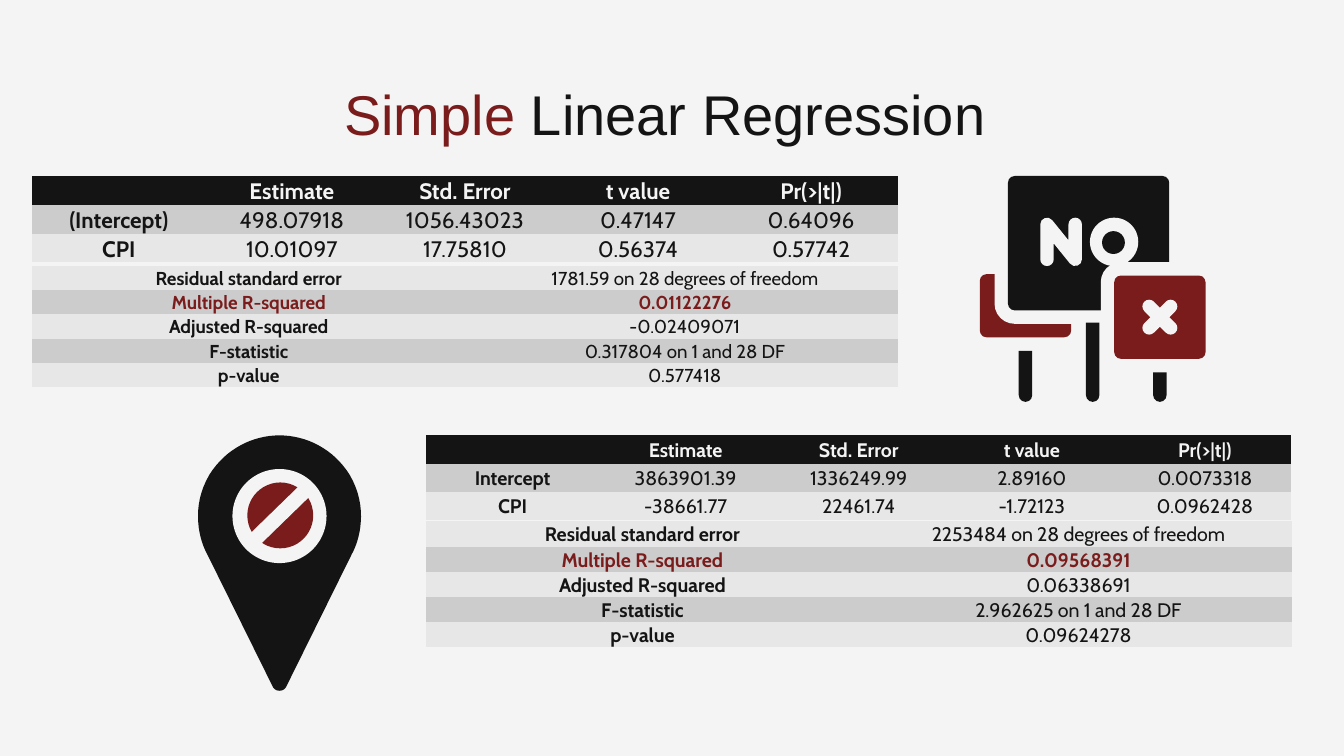
import pptx
import pptx.dml.color
import pptx.enum.shapes
import pptx.enum.text
import pptx.oxml.ns
import pptx.oxml.xmlchemy
import pptx.util
from pptx.util import Inches

SHAPE = pptx.enum.shapes.MSO_SHAPE
COLORS = {"bg": "F4F4F4", "ink": "141414", "red": "7A1C1C",
          "dark": "CCCCCC", "light": "E7E7E7"}
HEADER = ["", "Estimate", "Std. Error", "t value", "Pr(>|t|)"]
LABELS = ["Residual standard error", "Multiple R-squared",
          "Adjusted R-squared", "F-statistic", "p-value"]
TABLE_W = 6.44
NO_STYLE = "{2D5ABB26-0587-4C30-8999-92F81FD0307C}"


def rgb(name):
    return pptx.dml.color.RGBColor.from_string(COLORS[name])


def paint(fill, color):
    fill.solid()
    fill.fore_color.rgb = rgb(color)


def add_filled(s, kind, box, color, radius=None):
    """Add a preset shape without outline; radius is in inches."""
    sp = s.shapes.add_shape(kind, *map(Inches, box))
    sp.shadow.inherit = False
    paint(sp.fill, color)
    sp.line.fill.background()
    if radius is not None:
        sp.adjustments[0] = radius / min(box[2:])
    return sp


def round_stroke(sp, color, width):
    sp.line.color.rgb = rgb(color)
    sp.line.width = pptx.util.Pt(width)
    ln = sp.line._get_or_add_ln()
    ln.set("cap", "rnd")
    ln.append(pptx.oxml.xmlchemy.OxmlElement("a:round"))


def add_stroke(s, x1, y1, x2, y2, color, width):
    cn = s.shapes.add_connector(pptx.enum.shapes.MSO_CONNECTOR.STRAIGHT,
                                *map(Inches, (x1, y1, x2, y2)))
    round_stroke(cn, color, width)
    cn._element.spPr.append(pptx.oxml.xmlchemy.OxmlElement("a:effectLst"))


def add_outline(s, points, close):
    points = [(Inches(x), Inches(y)) for x, y in points]
    fb = s.shapes.build_freeform(*points[0])
    fb.add_line_segments(points[1:], close=close)
    sp = fb.convert_to_shape()
    sp.shadow.inherit = False
    return sp


def curve(p0, p1, p2, p3, steps=16):
    """Points along a cubic Bezier curve, without its start."""
    points = []
    for i in range(1, steps + 1):
        t = i / steps
        weights = ((1 - t) ** 3, 3 * t * (1 - t) ** 2, 3 * t * t * (1 - t), t ** 3)
        points.append(tuple(sum(w * p[axis] for w, p in zip(weights, (p0, p1, p2, p3)))
                            for axis in (0, 1)))
    return points


def fill_cell(cell, text, size, inset, color, bold, fill, indent=0):
    paint(cell.fill, fill)
    cell.margin_top = cell.margin_bottom = 0
    cell.margin_left = Inches(inset + indent)
    cell.margin_right = Inches(inset)
    cell.vertical_anchor = pptx.enum.text.MSO_ANCHOR.MIDDLE
    p = cell.text_frame.paragraphs[0]
    p.alignment = pptx.enum.text.PP_ALIGN.CENTER
    p.line_spacing = 1.07
    p.font.name = "Cabin"
    p.font.size = pptx.util.Pt(size)
    p.font.bold = bold
    p.font.color.rgb = rgb(color)
    if text:
        p.add_run().text = text
    else:
        end = pptx.oxml.xmlchemy.OxmlElement("a:endParaRPr")
        end.set("sz", str(int(size * 100)))
        p._p.append(end)


def add_grid(s, left, top, row_h, rows, size, style, inset=0.07):
    """Add a table; style(row, col) gives text colour, bold, fill and indent."""
    n = len(rows[0])
    frame = s.shapes.add_table(len(rows), n, Inches(left), Inches(top),
                               Inches(TABLE_W), Inches(row_h * len(rows)))
    table = frame.table
    table.first_row = table.horz_banding = False
    table._tbl.tblPr.find(pptx.oxml.ns.qn("a:tableStyleId")).text = NO_STYLE
    for i, row in enumerate(rows):
        table.rows[i].height = Inches(row_h)
        for j, text in enumerate(row):
            fill_cell(table.cell(i, j), text, size, inset, *style(i, j))


def coefficient_style(i, j):
    if i == 0:
        return "bg", True, "ink"
    return "ink", j == 0, "dark" if i == 1 else "light"


def summary_style(i, j):
    highlight = i == 1
    return ("red" if highlight else "ink", highlight or j == 0,
            "dark" if i % 2 else "light", 0.05 * j)


def add_title(s):
    tb = s.shapes.add_textbox(Inches(0.79), Inches(0.49), Inches(8.43), Inches(0.63))
    tf = tb.text_frame
    tf.word_wrap = True
    tf.margin_left = tf.margin_right = tf.margin_top = tf.margin_bottom = Inches(0.1)
    p = tf.paragraphs[0]
    p.alignment = pptx.enum.text.PP_ALIGN.CENTER
    p.font.name = "Arial"
    p.font.size = pptx.util.Pt(30)
    for text, color in (("Simple ", "red"), ("Linear Regression ", "ink")):
        r = p.add_run()
        r.text = text
        r.font.color.rgb = rgb(color)


def add_board(s, x, y, w, h, color, gap=0.1):
    """Add a rounded board with a background-coloured margin around it."""
    for grow, fill in ((gap, "bg"), (0, color)):
        add_filled(s, SHAPE.ROUNDED_RECTANGLE,
                   (x - grow, y - grow, w + 2 * grow, h + 2 * grow), fill, 0.05 + grow)


def add_protest_signs(s):
    add_board(s, 7.29, 2.04, 0.68, 0.47, "red")
    add_board(s, 7.5, 1.31, 1.2, 1, "ink")
    add_board(s, 8.29, 2.05, 0.68, 0.62, "red")
    for x, top in ((7.58, 2.61), (8.08, 2.4), (8.58, 2.77)):
        post = add_filled(s, SHAPE.ROUND_2_SAME_RECTANGLE,
                          (x, top, 0.1, 2.99 - top), "ink", 0.05)
        post.rotation = 180
    letter_n = add_outline(s, [(7.79, 1.93), (7.79, 1.67), (8, 1.93), (8, 1.67)], False)
    letter_n.fill.background()
    round_stroke(letter_n, "bg", 7.2)
    add_filled(s, SHAPE.OVAL, (8.11, 1.62, 0.36, 0.36), "bg")
    add_filled(s, SHAPE.OVAL, (8.2, 1.72, 0.17, 0.17), "ink")
    add_stroke(s, 8.55, 2.28, 8.71, 2.44, "bg", 7.2)
    add_stroke(s, 8.55, 2.44, 8.71, 2.28, "bg", 7.2)


def add_pin(s):
    mid = 2.08
    half = [(mid, 3.24)]
    half += curve(half[-1], (2.28, 3.24), (2.48, 3.34), (2.6, 3.53))
    half += curve(half[-1], (2.75, 3.78), (2.67, 4.03), (2.62, 4.12))
    half.append((2.13, 5.11))
    half += curve(half[-1], (2.12, 5.13), (2.1, 5.14), (mid, 5.14))
    mirrored = [(2 * mid - x, y) for x, y in reversed(half[1:-1])]
    pin = add_outline(s, half + mirrored, True)
    paint(pin.fill, "ink")
    pin.line.fill.background()
    add_filled(s, SHAPE.OVAL, (1.73, 3.49, 0.7, 0.7), "bg")
    add_filled(s, SHAPE.OVAL, (1.84, 3.59, 0.49, 0.49), "red")
    add_stroke(s, 1.89, 4.02, 2.27, 3.65, "bg", 8)


def main():
    prs = pptx.Presentation()
    prs.slide_width, prs.slide_height = Inches(10), Inches(10 * 9 / 16)
    s = prs.slides.add_slide(prs.slide_layouts[6])
    paint(s.background.fill, "bg")
    add_title(s)

    values = ["1781.59 on 28 degrees of freedom", "0.01122276", "-0.02409071",
              "0.317804 on 1 and 28 DF", "0.577418"]
    add_grid(s, 0.24, 1.98, 0.18, list(zip(LABELS, values)), 10, summary_style, 0.06)
    add_grid(s, 0.24, 1.31, 0.21, [
        HEADER,
        ["(Intercept)", "498.07918", "1056.43023", "0.47147", "0.64096"],
        ["CPI", "10.01097", "17.75810", "0.56374", "0.57742"],
    ], 12, coefficient_style)
    add_protest_signs(s)

    add_grid(s, 3.17, 3.24, 0.21, [
        HEADER,
        ["Intercept", "3863901.39", "1336249.99", "2.89160", "0.0073318"],
        ["CPI", "-38661.77", "22461.74", "-1.72123", "0.0962428"],
    ], 10.5, coefficient_style)
    values = ["2253484 on 28 degrees of freedom", "0.09568391", "0.06338691",
              "2.962625 on 1 and 28 DF", "0.09624278"]
    add_grid(s, 3.17, 3.88, 0.18, list(zip(LABELS, values)), 10.5, summary_style)
    add_pin(s)
    prs.save("out.pptx")


if __name__ == "__main__":
    main()
